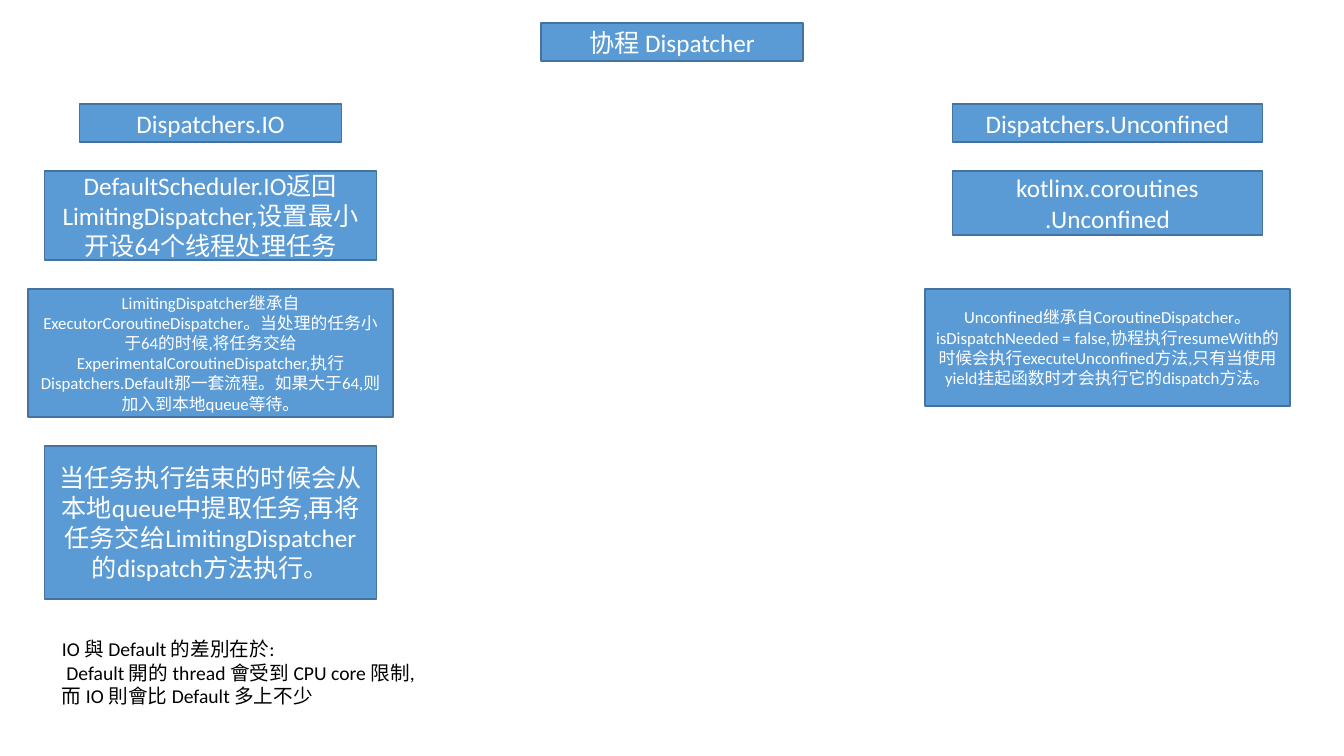
from pptx import Presentation
from pptx.dml.color import RGBColor
from pptx.enum.shapes import MSO_SHAPE
from pptx.enum.text import MSO_ANCHOR, MSO_AUTO_SIZE, PP_ALIGN
from pptx.util import Pt

PX = 12192000 / 1344
COLORS = {"fill": "5B9BD5", "line": "43739E", "light": "FFFFFF", "dark": "000000"}
ROW_TOPS = [0, 67, 185, 342]

IO_BOXES = [
    (262, 38, 18, "Dispatchers.IO"),
    (332, 89, 18, "DefaultScheduler.IO返回LimitingDispatcher,设置最小开设64个线程处理任务".replace(",", ",")),
    (365, 128, 12, "LimitingDispatcher继承自ExecutorCoroutineDispatcher。当处理的任务小于64的时候,"
     "将任务交给ExperimentalCoroutineDispatcher,执行Dispatchers.Default那一套流程。"
     "如果大于64,则加入到本地queue等待。".replace(",", ",")),
    (332, 153, 18, "当任务执行结束的时候会从本地queue中提取任务,再将任务交给"
     "LimitingDispatcher的dispatch方法执行。".replace(",", ",")),
]
UNCONFINED_BOXES = [
    (310, 38, 18, "Dispatchers.Unconfined"),
    (310, 64, 18, "kotlinx.coroutines\n.Unconfined"),
    (365, 117, 12, "Unconfined继承自CoroutineDispatcher。isDispatchNeeded = false,"
     "协程执行resumeWith的时候会执行executeUnconfined方法,"
     "只有当使用yield挂起函数时才会执行它的dispatch方法。".replace(",", ",")),
]
NOTE = "IO 與 Default 的差別在於:\n Default 開的 thread 會受到 CPU core 限制,\n而 IO 則會比 Default 多上不少"


def emu(*lengths):
    """Turn pixel lengths into EMU."""
    return [round(n * PX) for n in lengths]


def rgb(name):
    """Look up a named colour."""
    return RGBColor.from_string(COLORS[name])


def set_text(sp, text, size, color, align):
    """Write the text and format every run."""
    tf = sp.text_frame
    tf.text = text
    for p in tf.paragraphs:
        p.alignment = align
        for r in p.runs:
            r.font.name = "Calibri"
            r.font.size = Pt(size)
            r.font.color.rgb = rgb(color)


def style_box(sp, text, size):
    """Give a shape the blue box look with centred text."""
    sp.fill.solid()
    sp.fill.fore_color.rgb = rgb("fill")
    sp.line.color.rgb = rgb("line")
    sp.line.width = Pt(1)
    set_text(sp, text, size, "light", PP_ALIGN.CENTER)
    tf = sp.text_frame
    tf.word_wrap = True
    tf.auto_size = MSO_AUTO_SIZE.NONE
    tf.vertical_anchor = MSO_ANCHOR.MIDDLE


def add_title(s, x, y, w, h):
    """Place the boxed slide title."""
    sp = s.shapes.title
    sp.left, sp.top, sp.width, sp.height = emu(x, y, w, h)
    style_box(sp, "协程 Dispatcher", 18)


def add_column(s, x, y, w, boxes):
    """Stack boxes on the shared rows, centred in the column."""
    for top, (width, height, size, text) in zip(ROW_TOPS, boxes):
        place = emu(x + (w - width) / 2, y + top, width, height)
        sp = s.shapes.add_shape(MSO_SHAPE.RECTANGLE, *place)
        sp.shadow.inherit = False
        style_box(sp, text, size)


def add_note(s, x, y, w, h):
    """Place the closing note."""
    sp = s.shapes.add_textbox(*emu(x, y, w, h))
    set_text(sp, NOTE, 14, "dark", PP_ALIGN.LEFT)
    sp.text_frame.word_wrap = False
    sp.text_frame.auto_size = MSO_AUTO_SIZE.SHAPE_TO_FIT_TEXT


prs = Presentation()
prs.slide_width, prs.slide_height = emu(1344, 756)
s = prs.slides.add_slide(prs.slide_layouts[5])
add_title(s, 541, 23, 262, 38)
add_column(s, 28, 104, 365, IO_BOXES)
add_column(s, 925, 104, 365, UNCONFINED_BOXES)
add_note(s, 52, 632, 413, 82)
prs.save("out.pptx")
